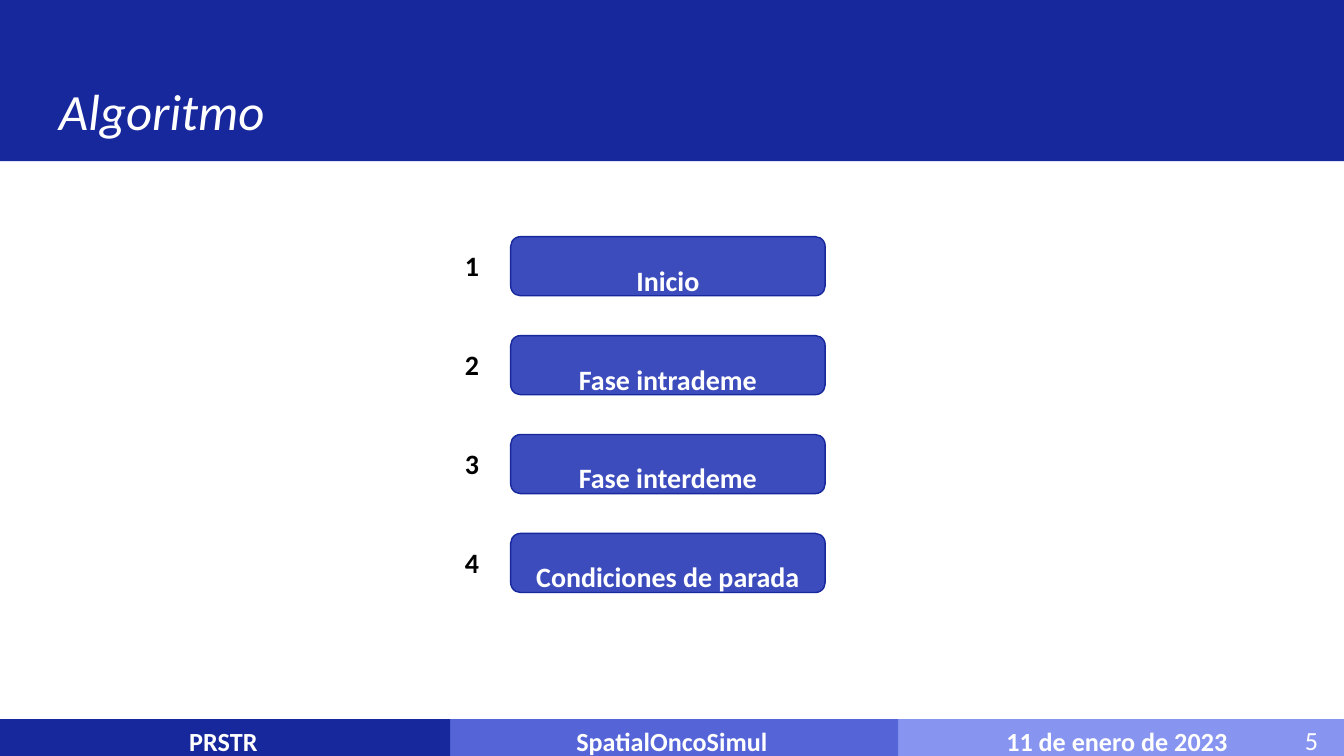
"""Build the "Algoritmo" slide: four numbered phases between a title band and a footer."""
from pptx import Presentation
from pptx.dml.color import RGBColor
from pptx.enum.shapes import MSO_SHAPE
from pptx.enum.text import MSO_ANCHOR, PP_ALIGN
from pptx.util import Pt

RECT, ROUNDED = MSO_SHAPE.RECTANGLE, MSO_SHAPE.ROUNDED_RECTANGLE
TOP, MIDDLE = MSO_ANCHOR.TOP, MSO_ANCHOR.MIDDLE
LEFT, CENTER = PP_ALIGN.LEFT, PP_ALIGN.CENTER

TITLE = "Algoritmo"
PHASES = ["Inicio", "Fase intrademe", "Fase interdeme", "Condiciones de parada"]
FOOTER = [
    {"label": "PRSTR", "color": "navy", "label_left": 94.3},
    {"label": "SpatialOncoSimul", "color": "indigo", "label_left": 301.7},
    {"label": "11 de enero de 2023", "color": "lavender", "label_left": 532},
]
PAGE_NUMBER = "5"

THEME = {
    "font": "Calibri",
    "navy": "17279C", "indigo": "5565D8", "lavender": "8895F0",
    "button": "3D4CBD", "white": "FFFFFF", "black": "000000",
    "title_size": 27.2, "phase_size": 15, "footer_size": 14,
}

SLIDE_W, SLIDE_H = 720, 405
TITLE_BAND_H = 86.4
FOOTER_TOP, FOOTER_H = 385.2, 23
SEGMENT_W = SLIDE_W / len(FOOTER)
SEGMENT_OVERLAP = 1.2
BUTTON_LEFT, BUTTON_TOP, BUTTON_W, BUTTON_H = 273.6, 126.8, 168.5, 31.7
PHASE_PITCH = 53
NUMBER_LEFT = 242


def color(name):
    return RGBColor.from_string(THEME[name])


def add_block(slide, kind, left, top, width, height, fill, line=None):
    block = slide.shapes.add_shape(kind, Pt(left), Pt(top), Pt(width), Pt(height))
    block.shadow.inherit = False
    block.fill.solid()
    block.fill.fore_color.rgb = color(fill)
    if line:
        block.line.color.rgb = color(line)
        block.line.width = Pt(0.75)
    else:
        block.line.fill.background()
    return block


def write(shape, text, *, size, ink="white", bold=False, italic=False, align=LEFT,
          anchor=TOP, insets=(7.2, 7.2, 7.2, 7.2), spacing=None, after=0):
    frame = shape.text_frame
    frame.word_wrap = True
    frame.vertical_anchor = anchor
    frame.margin_left, frame.margin_top, frame.margin_right, frame.margin_bottom = map(Pt, insets)
    paragraph = frame.paragraphs[0]
    paragraph.alignment = align
    paragraph.space_after = Pt(after)
    if spacing:
        paragraph.line_spacing = spacing
    run = paragraph.add_run()
    run.text = text
    run.font.name = THEME["font"]
    run.font.size = Pt(THEME[size])
    run.font.bold, run.font.italic = bold, italic
    run.font.color.rgb = color(ink)


def add_label(slide, text, left, top, width, height, **text_format):
    label = slide.shapes.add_textbox(Pt(left), Pt(top), Pt(width), Pt(height))
    write(label, text, **text_format)


def add_footer(slide):
    for index, segment in reversed(list(enumerate(FOOTER))):
        left = index * SEGMENT_W
        width = min(SEGMENT_W + SEGMENT_OVERLAP, SLIDE_W - left)
        add_block(slide, RECT, left, FOOTER_TOP, width, FOOTER_H, segment["color"])
    for segment in FOOTER:
        add_label(slide, segment["label"], segment["label_left"], 381.4, 160, 31.7,
                  size="footer_size", bold=True)
    add_label(slide, PAGE_NUMBER, 692, 384.5, 28, 24.5, size="footer_size",
              insets=(7.2, 3.6, 7.2, 3.6))


def add_phases(slide):
    for index, phase in enumerate(PHASES):
        top = BUTTON_TOP + index * PHASE_PITCH
        button = add_block(slide, ROUNDED, BUTTON_LEFT, top, BUTTON_W, BUTTON_H,
                           "button", line="navy")
        write(button, phase, size="phase_size", bold=True, align=CENTER, anchor=MIDDLE,
              insets=(7.2, 12, 7.2, 0), spacing=1.15, after=12)
        add_label(slide, str(index + 1), NUMBER_LEFT, top - 0.6,
                  BUTTON_LEFT - NUMBER_LEFT, 32.4, size="phase_size", ink="black", bold=True)


def main():
    deck = Presentation()
    deck.slide_width, deck.slide_height = Pt(SLIDE_W), Pt(SLIDE_H)
    slide = deck.slides.add_slide(deck.slide_layouts[6])
    add_block(slide, RECT, 0, 0, SLIDE_W, TITLE_BAND_H, "navy")
    add_label(slide, TITLE, 24.5, 35.3, 671, 45.4, size="title_size", italic=True)
    add_footer(slide)
    add_phases(slide)
    deck.save("out.pptx")


if __name__ == "__main__":
    main()
